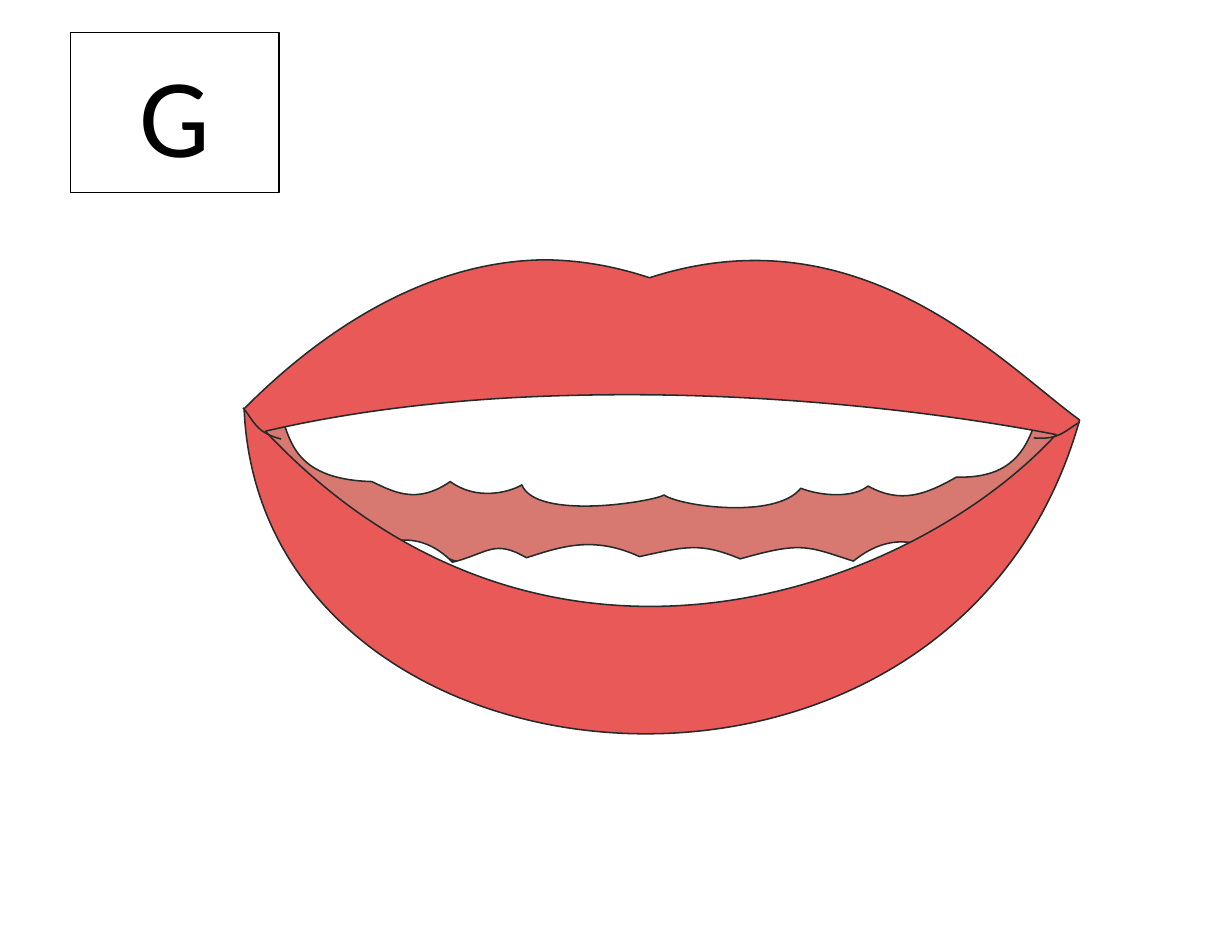
from pptx import Presentation
from pptx.dml.color import RGBColor
from pptx.enum.shapes import MSO_SHAPE as Shape
from pptx.enum.text import MSO_ANCHOR as Anchor, PP_ALIGN as Align
from pptx.oxml.ns import qn
from pptx.oxml.xmlchemy import OxmlElement
from pptx.util import Inches, Pt

COLORS = {"paper": "FFFFFF", "black": "000000", "outline": "252B2A",
          "gum": "D77971", "lip": "E95958"}
WIDTH, HEIGHT = Inches(11), Inches(8.5)
CURVE_STEPS = 50

# Mouth contours on a grid of columns and rows. Each contour is a start point,
# then steps: two numbers for a line, six for a cubic curve.
MOUTH_GRID = (748, 423)
THROAT = [(7, 156), (242, 97, 541, 121, 727, 159), (594, 313, 260, 445, 7, 156)]
GUM = [(17, 146), (81, 100, 656, 105, 722, 150), (782, 194, 491, 311, 374, 310),
       (256, 309, -46, 193, 17, 146)]
LOWER_TEETH = [(138, 329), (37, 324, 123, 204, 187, 270), (219, 262, 224, 249, 253, 266),
               (284, 256, 313, 246, 354, 265), (395, 256, 408, 252, 444, 267),
               (500, 251, 504, 256, 545, 269), (617, 210, 681, 321, 613, 331),
               (415, 363, 305, 383, 138, 329)]
UPPER_TEETH = [(290, 109), (443, 107, 565, 114, 691, 127), (712, 131),
               (703, 157, 696, 196, 637, 194), (609, 210, 587, 218, 558, 202),
               (545, 213, 516, 211, 498, 204), (476, 232, 390, 220, 376, 210),
               (366, 216, 262, 233, 249, 201), (237, 208, 208, 215, 185, 198),
               (155, 219, 134, 207, 115, 198), (42, 196, 42, 157, 32, 133),
               (64, 122), (137, 115, 214, 111, 290, 109)]
LIPS = [(268, 0), (298, 0, 330, 5, 363, 16), (551, -45, 676, 91, 747, 143),
        (634, 546, 16, 489, 1, 133), (36, 98, 137, 2, 268, 0)]
OPENING = [(296, 121), (201, 123, 106, 133, 20, 153), (268, 417, 596, 297, 726, 156),
           (612, 134, 455, 117, 296, 121)]
LEFT_CORNER = [(34, 160), (11, 154, 10, 144, 0, 132)]
RIGHT_CORNER = [(706, 159), (730, 161, 734, 152, 747, 145)]

# Back to front: contours and fill
MOUTH_PARTS = [([THROAT], "outline"), ([GUM], "gum"), ([LOWER_TEETH], "paper"),
               ([UPPER_TEETH], "paper"), ([LIPS, OPENING], "lip"),
               ([LEFT_CORNER], None), ([RIGHT_CORNER], None)]


def paint(shape, fill, line):
    shape.shadow.inherit = False
    if fill:
        shape.fill.solid()
        shape.fill.fore_color.rgb = RGBColor.from_string(COLORS[fill])
    else:
        shape.fill.background()
    shape.line.color.rgb = RGBColor.from_string(COLORS[line])
    shape.line.width = Pt(1)


def pairs(step):
    return list(zip(step[::2], step[1::2]))


def trace(contour):
    """Return grid points along a contour, for measuring its extent."""
    points = [contour[0]]
    for step in contour[1:]:
        knots = [points[-1], *pairs(step)]
        if len(step) == 2:
            points.append(step)
            continue
        for index in range(1, CURVE_STEPS + 1):
            t = index / CURVE_STEPS
            weights = ((1 - t) ** 3, 3 * t * (1 - t) ** 2, 3 * t * t * (1 - t), t ** 3)
            points.append(tuple(sum(w * knot[axis] for w, knot in zip(weights, knots))
                                for axis in (0, 1)))
    return points


def bend(shape, contours):
    """Join each three segments of a curve step into one cubic curve."""
    outline = shape.element.find(".//" + qn("a:path"))
    segments = iter(outline.findall(qn("a:lnTo")))
    for contour in contours:
        for step in contour[1:]:
            parts = [next(segments) for _ in pairs(step)]
            if len(parts) == 3:
                curve = OxmlElement("a:cubicBezTo")
                parts[0].addprevious(curve)
                for part in parts:
                    curve.append(part[0])
                    outline.remove(part)
    return outline


def fit(shape, outline, left, top, right, bottom):
    """Set the frame to the drawn extent and shift the points to match."""
    shift_x, shift_y = shape.left - left, shape.top - top
    for point in outline.iter(qn("a:pt")):
        point.set("x", str(int(point.get("x")) + shift_x))
        point.set("y", str(int(point.get("y")) + shift_y))
    outline.set("w", str(right - left))
    outline.set("h", str(bottom - top))
    shape.left, shape.top = left, top
    shape.width, shape.height = right - left, bottom - top


def add_panel(page, box, fill, line):
    panel = page.shapes.add_shape(Shape.RECTANGLE, *box)
    paint(panel, fill, line)
    return panel


def add_letter_card(page, box, letter):
    card = add_panel(page, box, "paper", "black")
    card.text_frame.vertical_anchor = Anchor.MIDDLE
    para = card.text_frame.paragraphs[0]
    para.text = letter
    para.alignment = Align.CENTER
    para.font.name = "Calibri"
    para.font.size = Pt(72)
    para.font.color.rgb = RGBColor.from_string(COLORS["black"])


def add_mouth(page, box):
    left, top, width, height = box
    columns, rows = MOUTH_GRID

    def place(point):
        return (round(left + point[0] * width / columns),
                round(top + point[1] * height / rows))

    group = page.shapes.add_group_shape()
    for contours, fill in MOUTH_PARTS:
        builder = group.shapes.build_freeform(*place(contours[0][0]))
        for number, contour in enumerate(contours):
            if number:
                builder.move_to(*place(contour[0]))
            knots = [place(knot) for step in contour[1:] for knot in pairs(step)]
            builder.add_line_segments(knots, close=fill is not None)
        part = builder.convert_to_shape()
        outline = bend(part, contours)
        xs, ys = zip(*(place(point) for contour in contours for point in trace(contour)))
        fit(part, outline, min(xs), min(ys), max(xs), max(ys))
        paint(part, fill, "outline")


def main():
    deck = Presentation()
    deck.slide_width, deck.slide_height = WIDTH, HEIGHT
    page = deck.slides.add_slide(deck.slide_layouts[6])
    add_panel(page, (0, 0, WIDTH, HEIGHT), "paper", "paper")
    add_letter_card(page, (Inches(0.63), Inches(0.29), Inches(1.86), Inches(1.43)), "G")
    add_mouth(page, (Inches(2.17), Inches(2.32), Inches(7.48), Inches(4.23)))
    deck.save("out.pptx")


if __name__ == "__main__":
    main()
